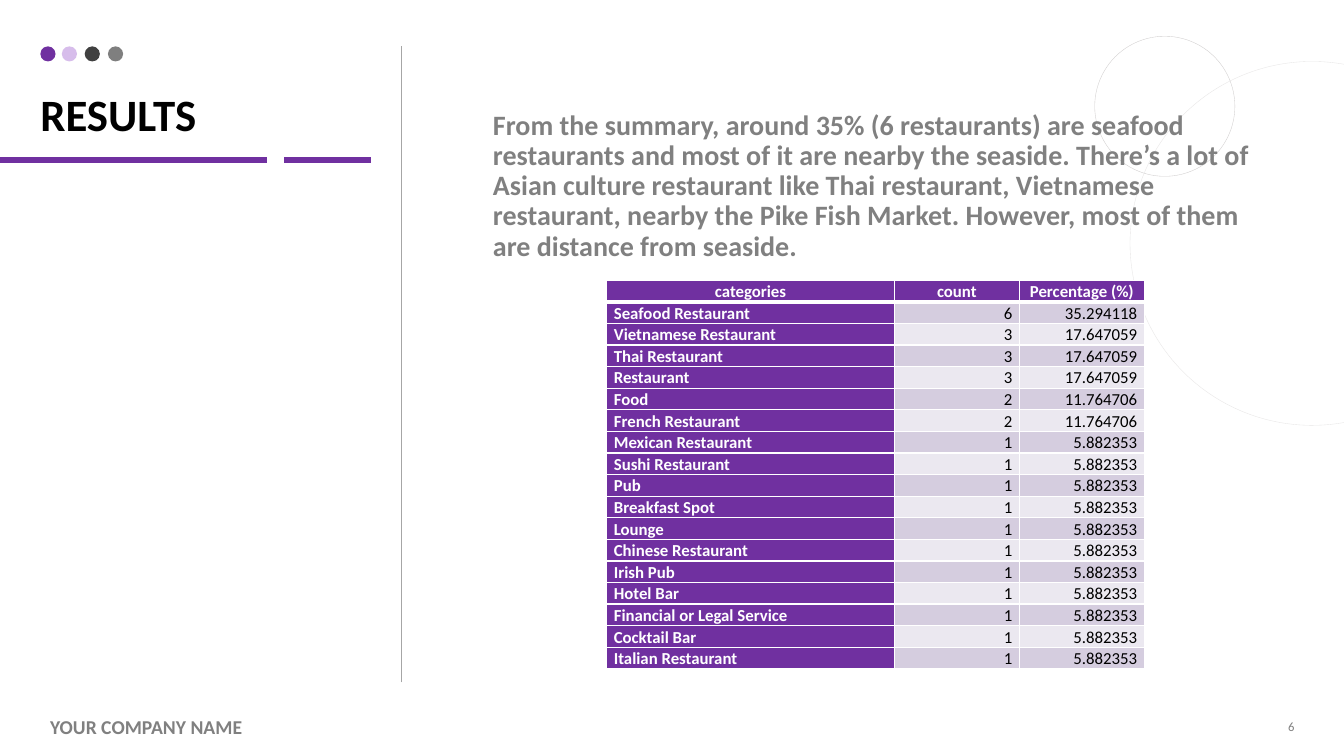
from lxml import etree
from pptx import Presentation
from pptx.dml.color import RGBColor
from pptx.enum.shapes import MSO_CONNECTOR, MSO_SHAPE
from pptx.enum.text import MSO_ANCHOR as Anchor, PP_ALIGN as Align
from pptx.oxml.ns import qn
from pptx.util import Inches, Pt

rgb = RGBColor.from_string
PURPLE, GREY, WHITE, BLACK = "7030A0", "808080", "FFFFFF", "000000"

prs = Presentation()
prs.slide_width, prs.slide_height = Inches(13.33), Inches(7.5)
s = prs.slides.add_slide(prs.slide_layouts[6])


def share(x, y, x2, y2):
    """Turn percentages of the slide's width and height into lengths."""
    col, row = prs.slide_width / 100, prs.slide_height / 100
    return int(x * col), int(y * row), int(x2 * col), int(y2 * row)


def add_text(text, area, size, color, anchor, bold=True, inset=0.0, spacing=0.9, align=Align.LEFT):
    tf = s.shapes.add_textbox(*share(*area)).text_frame
    tf.word_wrap = True
    tf.vertical_anchor = anchor
    tf.margin_left = tf.margin_right = Inches(inset)
    tf.margin_top = tf.margin_bottom = Inches(inset / 2)
    p = tf.paragraphs[0]
    p.text, p.alignment, p.line_spacing = text, align, spacing
    p.font.name, p.font.size, p.font.bold = "Calibri", Pt(size), bold
    p.font.color.rgb = rgb(color)


# Title underline in two parts, and the vertical divider
for ends, color, width in [
    ((0, 21.2, 19.88, 21.2), PURPLE, 4.5),
    ((21.15, 21.2, 27.6, 21.2), PURPLE, 4.5),
    ((29.85, 90.27, 29.85, 6.13), "A6A6A6", 0.5),
]:
    line = s.shapes.add_connector(MSO_CONNECTOR.STRAIGHT, *share(*ends))
    line.line.color.rgb, line.line.width = rgb(color), Pt(width)
    etree.SubElement(line._element.spPr, qn("a:effectLst"))

# Thin circles in the top right corner
for area, color in [((84.08, 8.13, 27.08, 48.13), "E7E6E6"),
                    ((81.45, 4.8, 10.43, 18.53), "D0CECE")]:
    circle = s.shapes.add_shape(MSO_SHAPE.OVAL, *share(*area))
    circle.shadow.inherit = False
    circle.fill.background()
    circle.line.color.rgb, circle.line.width = rgb(color), Pt(0.25)

# Row of dots above the title
for x, color, opacity in [(3, PURPLE, 100), (4.6, "C7A2E3", 70),
                          (6.3, "404040", 100), (8.03, "7F7F7F", 100)]:
    dot = s.shapes.add_shape(MSO_SHAPE.OVAL, *share(x, 6.13, 1.13, 2))
    dot.shadow.inherit = False
    dot.line.fill.background()
    dot.fill.solid()
    dot.fill.fore_color.rgb = rgb(color)
    if opacity < 100:
        srgb = dot._element.spPr.find(".//" + qn("a:srgbClr"))
        etree.SubElement(srgb, qn("a:alpha"), val=str(opacity * 1000))

# Title, summary, footer and slide number
add_text("RESULTS", (3, 3.6, 26.33, 15.07), 32, BLACK, Anchor.BOTTOM)
add_text("From the summary, around 35% (6 restaurants) are seafood restaurants and most of it "
         "are nearby the seaside. There’s a lot of Asian culture restaurant like Thai restaurant, "
         "Vietnamese restaurant, nearby the Pike Fish Market. However, most of them are distance "
         "from seaside.", (36.68, 18.67, 56.93, 12), 20, GREY, Anchor.MIDDLE)
add_text("YOUR COMPANY NAME", (3, 94.27, 18.53, 3.6), 14, GREY, Anchor.TOP, inset=0.1)
add_text("6", (74.55, 94.27, 22.5, 3.6), 9, "7F7F7F", Anchor.MIDDLE,
         bold=False, inset=0.1, spacing=1.0, align=Align.RIGHT)

# Table: each percentage is the count over the number of categories
counts = {
    "Seafood Restaurant": 6, "Vietnamese Restaurant": 3, "Thai Restaurant": 3,
    "Restaurant": 3, "Food": 2, "French Restaurant": 2, "Mexican Restaurant": 1,
    "Sushi Restaurant": 1, "Pub": 1, "Breakfast Spot": 1, "Lounge": 1,
    "Chinese Restaurant": 1, "Irish Pub": 1, "Hotel Bar": 1,
    "Financial or Legal Service": 1, "Cocktail Bar": 1, "Italian Restaurant": 1,
}
rows = [("categories", "count", "Percentage (%)")]
rows += [(name, str(n), f"{100 * n / len(counts):.6f}") for name, n in counts.items()]

table = s.shapes.add_table(len(rows), 3, *share(45.15, 37.07, 40, 51.33)).table
for column, width in zip(table.columns, (21.4, 9.3, 9.3)):
    column.width = share(width, 0, 0, 0)[0]

for i, row in enumerate(rows):
    for j, text in enumerate(row):
        cell = table.cell(i, j)
        heading = i == 0 or j == 0
        cell.margin_left = cell.margin_right = Inches(0.07)
        cell.margin_top = cell.margin_bottom = 0

        # White borders, thicker under the header row
        for side in ("lnL", "lnR", "lnT", "lnB"):
            thick = (i, side) in [(0, "lnB"), (1, "lnT")]
            ln = etree.SubElement(cell._tc.get_or_add_tcPr(), qn("a:" + side),
                                  w=str(Pt(3 if thick else 1)))
            etree.SubElement(etree.SubElement(ln, qn("a:solidFill")), qn("a:srgbClr"), val=WHITE)

        cell.fill.solid()
        cell.fill.fore_color.rgb = rgb(PURPLE if heading else ("EBE8F0", "D5CDDF")[i % 2])
        p = cell.text_frame.paragraphs[0]
        p.text, p.line_spacing = text, 1.07
        p.alignment = Align.CENTER if i == 0 else Align.RIGHT if j else Align.LEFT
        p.font.name, p.font.size, p.font.bold = "Calibri", Pt(12), heading
        p.font.color.rgb = rgb(WHITE if heading else BLACK)

prs.save("out.pptx")
